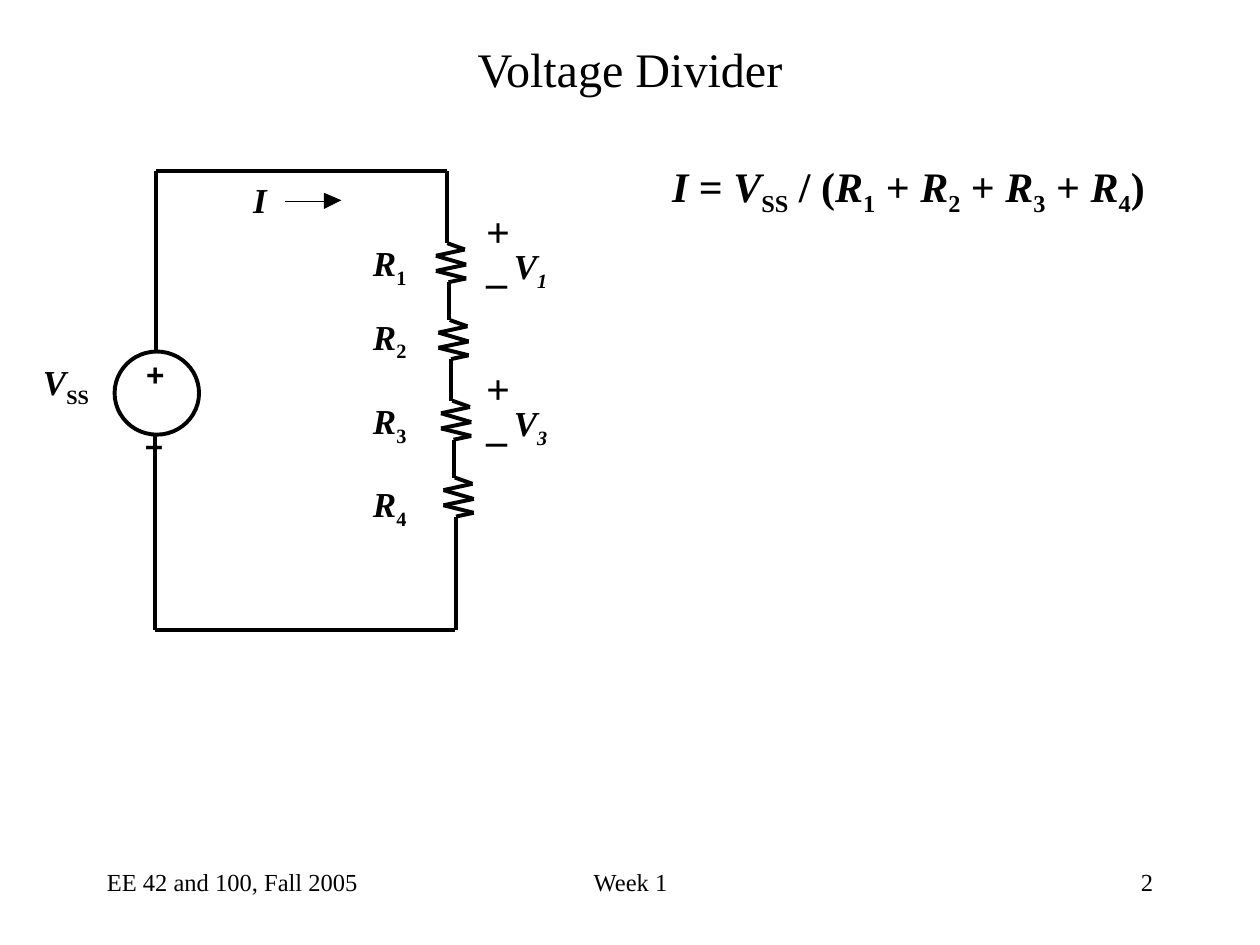
from itertools import pairwise

from lxml.etree import SubElement
from pptx import Presentation
from pptx.dml.color import RGBColor
from pptx.enum.shapes import MSO_CONNECTOR as Connector, MSO_SHAPE as Shape
from pptx.enum.text import MSO_ANCHOR as Anchor, MSO_AUTO_SIZE as AutoSize, PP_ALIGN as Align
from pptx.oxml.ns import qn
from pptx.util import Inches, Pt

BLACK = RGBColor(0, 0, 0)
WHITE = RGBColor(255, 255, 255)
SERIF = "Times New Roman"
ZIGZAG = [(0, 0), (0.14, 0.05), (-0.09, 0.1), (0.15, 0.17), (-0.09, 0.22), (0.15, 0.28), (0.01, 0.31)]
RESISTOR_TOPS = [1.93, 2.54, 3.18, 3.79]
LABEL_TOPS = [1.92, 2.5, 3.17, 3.83]
TOP, BOTTOM, LEFT, RIGHT = 1.36, 5, 1.24, 3.55
STYLES = {
    "plain": {},
    "bold": {"bold": True},
    "italic": {"bold": True, "italic": True},
    "sub": {"bold": True},
    "italic sub": {"bold": True, "italic": True},
}


def set_all(target, values):
    """Set every attribute in a dict of format values."""
    for name, value in values.items():
        setattr(target, name, value)


def write_spans(para, spans, size, font=SERIF):
    """Write (text, style) pairs into a paragraph."""
    for text, style in spans:
        span = para.add_run()
        span.text = text
        set_all(span.font, {"name": font, "size": Pt(size), **STYLES[style]})
        span.font.color.rgb = BLACK
        if style.endswith("sub"):
            span.font._element.set("baseline", "-25000")


def add_text(page, area, lines, size, font=SERIF, align=Align.LEFT, anchor=Anchor.TOP, wrap=False, inset=True):
    """Add a text box whose lines are lists of (text, style) pairs."""
    box = page.shapes.add_textbox(*map(Inches, area))
    frame = box.text_frame
    set_all(frame, {"word_wrap": wrap, "vertical_anchor": anchor, "auto_size": AutoSize.NONE})
    if not inset:
        set_all(frame, {f"margin_{side}": 0 for side in ("left", "top", "right", "bottom")})
    for index, spans in enumerate(lines):
        para = frame.add_paragraph() if index else frame.paragraphs[0]
        para.alignment = align
        write_spans(para, spans, size, font)


def add_wire(page, start, end, width=2.25):
    """Add a straight black connector."""
    wire = page.shapes.add_connector(Connector.STRAIGHT, *map(Inches, (*start, *end)))
    wire.line.width = Pt(width)
    wire.line.color.rgb = BLACK
    SubElement(wire._element.spPr, qn("a:effectLst"))


def add_resistor(page, left, top):
    """Add a zigzag of wires hanging from a point."""
    points = [(left + x, top + y) for x, y in ZIGZAG]
    for start, end in pairwise(points):
        add_wire(page, start, end)


def add_title(page, text):
    """Move and format the title placeholder."""
    title = page.shapes.title
    area = map(Inches, (0.5, 0.25, 9, 0.58))
    set_all(title, dict(zip(("left", "top", "width", "height"), area)))
    set_all(title.text_frame, {"vertical_anchor": Anchor.MIDDLE, "auto_size": AutoSize.NONE})
    para = title.text_frame.paragraphs[0]
    para.alignment = Align.CENTER
    write_spans(para, [(text, "plain")], 27.5)


def add_footer(page):
    """Add the three footer texts."""
    for left, width, text, align in (
        (0.75, 2.33, "EE 42 and 100, Fall 2005", Align.LEFT),
        (3.42, 3.17, "Week 1", Align.CENTER),
        (7.17, 2.08, "2", Align.RIGHT),
    ):
        add_text(page, (left, 6.83, width, 0.5), [[(text, "plain")]], 14, align=align, wrap=True)


def add_formula(page):
    """Add the equation for the loop current."""
    spans = [("I", "italic"), (" = ", "bold"), ("V", "italic"), ("SS", "sub"), (" / (", "bold")]
    for number, after in zip("1234", (" + ", " + ", " + ", ")")):
        spans += [("R", "italic"), (number, "sub"), (after, "bold")]
    add_text(page, (5, 1.22, 4.42, 0.56), [spans], 24, align=Align.CENTER, anchor=Anchor.MIDDLE, wrap=True)


def add_source(page):
    """Add the voltage source with its signs and label."""
    circle = page.shapes.add_shape(Shape.OVAL, *map(Inches, (0.91, 2.79, 0.67, 0.66)))
    circle.shadow.inherit = False
    circle.fill.solid()
    circle.fill.fore_color.rgb = WHITE
    circle.line.width = Pt(2.25)
    circle.line.color.rgb = BLACK
    for sign, left, top in (("+", 1.16, 2.82), ("−", 1.15, 3.39)):
        add_text(page, (left, top, 0.15, 0.3), [[(sign, "bold")]], 18, "Arial", inset=False)
    add_text(page, (0.34, 2.86, 0.59, 0.38), [[("V", "italic"), ("SS", "sub")]], 20, wrap=True, inset=False)


def add_current(page):
    """Add the current label and its arrow."""
    add_text(page, (2.01, 1.42, 0.11, 0.33), [[("I", "italic")]], 20, inset=False)
    add_wire(page, (2.26, 1.6), (2.58, 1.6), 0.75)
    builder = page.shapes.build_freeform(Inches(2.57), Inches(1.66))
    builder.add_line_segments([(Inches(x), Inches(y)) for x, y in ((2.71, 1.59), (2.57, 1.53))])
    head = builder.convert_to_shape()
    head.shadow.inherit = False
    head.fill.solid()
    head.fill.fore_color.rgb = BLACK
    head.line.fill.background()


def add_resistors(page):
    """Add the resistor chain with its wires and labels."""
    wire_ends = RESISTOR_TOPS[1:] + [BOTTOM]
    for index, (top, end, label_top) in enumerate(zip(RESISTOR_TOPS, wire_ends, LABEL_TOPS)):
        left = RIGHT + 0.02 * index
        add_resistor(page, left, top)
        add_wire(page, (left + 0.01, top + 0.31), (left + 0.01, end))
        label = [("R", "italic"), (str(index + 1), "sub")]
        add_text(page, (2.96, label_top, 0.27, 0.38), [label], 20, inset=False)


def add_voltage(page, number, top):
    """Add plus and minus signs beside a voltage label."""
    add_text(page, (3.76, top, 0.39, 0.9), [[("+", "bold")], [("–", "bold")]], 24)
    add_text(page, (3.98, top + 0.31, 0.46, 0.48), [[("V", "italic"), (number, "italic sub")]], 20)


def main():
    """Build the voltage divider slide."""
    deck = Presentation()
    set_all(deck, {"slide_width": Inches(10), "slide_height": Inches(7.5)})
    page = deck.slides.add_slide(deck.slide_layouts[5])
    add_title(page, "Voltage Divider")
    add_formula(page)
    for start, end in (
        ((LEFT, TOP), (LEFT, 3.28)),
        ((LEFT, TOP), (RIGHT, TOP)),
        ((RIGHT, TOP), (RIGHT, RESISTOR_TOPS[0])),
        ((1.23, 3.44), (1.23, BOTTOM)),
        ((1.23, BOTTOM), (3.61, BOTTOM)),
    ):
        add_wire(page, start, end)
    add_source(page)
    add_current(page)
    add_resistors(page)
    add_voltage(page, "1", 1.58)
    add_voltage(page, "3", 2.83)
    add_footer(page)
    deck.save("out.pptx")


if __name__ == "__main__":
    main()
